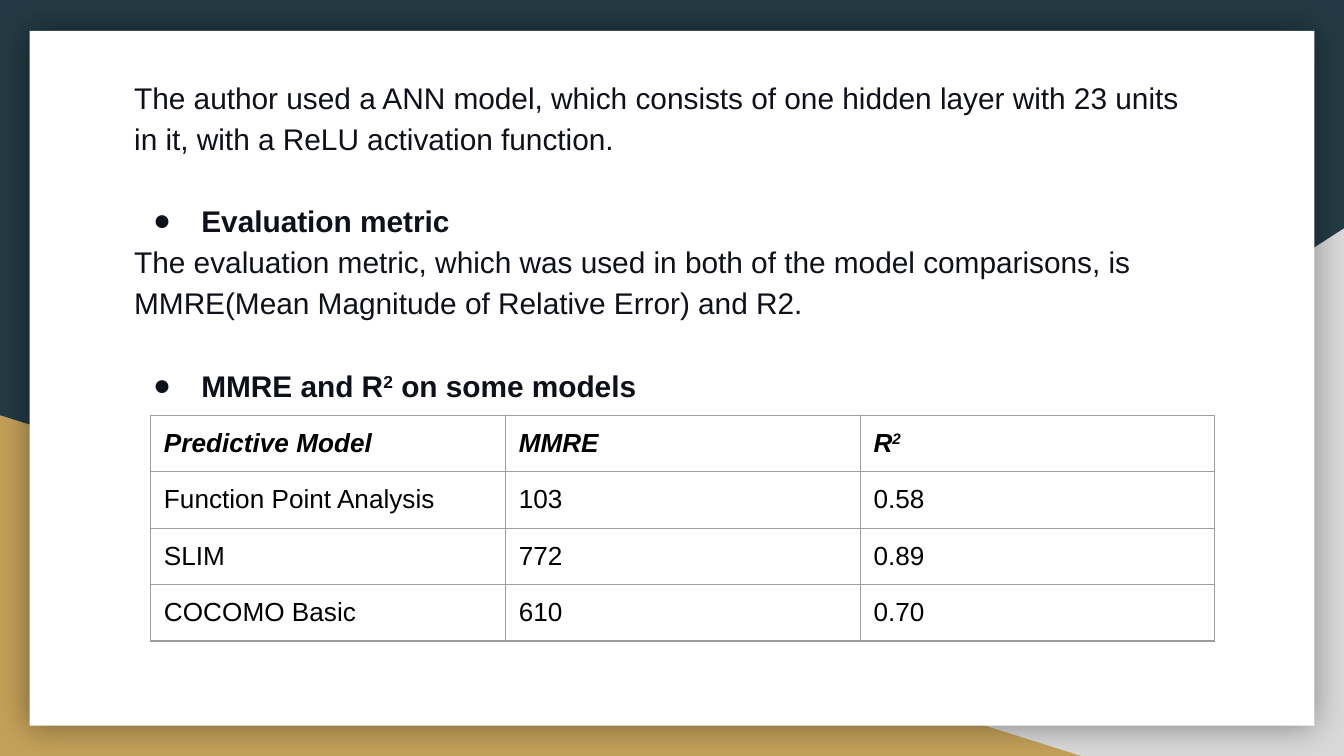
from lxml.etree import SubElement
from pptx import Presentation
from pptx.dml.color import RGBColor
from pptx.enum.shapes import MSO_SHAPE
from pptx.oxml.ns import qn
from pptx.util import Inches, Pt

COLORS = {
    "night": "233A44", "grey": "D9D9D9", "gold": "C4A15A", "white": "FFFFFF",
    "ink": "0E101A", "black": "000000", "border": "9E9E9E",
}


def add_text(para, text, size=16, color="ink", bold=False, italic=False):
    """Fill a paragraph with text; parts between ^ marks are superscript."""
    for index, part in enumerate(text.split("^")):
        if not part:
            continue
        span = para.add_run()
        span.text = part
        span.font.name = "Arial"
        span.font.size = Pt(size)
        span.font.bold = bold
        span.font.italic = italic
        span.font.color.rgb = RGBColor.from_string(COLORS[color])
        if index % 2:
            span.font._element.set("baseline", "30000")


def add_color(parent, color):
    """Append an RGB colour element and return it."""
    return SubElement(parent, qn("a:srgbClr"), val=COLORS[color])


deck = Presentation()
deck.slide_width, deck.slide_height = Inches(10), Inches(10 * 9 / 16)
page = deck.slides.add_slide(deck.slide_layouts[6])
page.background.fill.solid()
page.background.fill.fore_color.rgb = RGBColor.from_string(COLORS["night"])

# Backdrop: two corner triangles and the white card
backdrop = [
    (MSO_SHAPE.RIGHT_TRIANGLE, (3.92, 1.7, 6.08, 3.93), "grey"),
    (MSO_SHAPE.RIGHT_TRIANGLE, (0, 3.09, 8.06, 2.54), "gold"),
    (MSO_SHAPE.RECTANGLE, (0.22, 0.23, 9.56, 5.17), "white"),
]
for preset, place, color in backdrop:
    shape = page.shapes.add_shape(preset, *map(Inches, place))
    shape.shadow.inherit = False
    shape.fill.solid()
    shape.fill.fore_color.rgb = RGBColor.from_string(COLORS[color])
    shape.line.fill.background()
    if color == "grey":
        shape._element.spPr.find(qn("a:xfrm")).set("flipH", "1")
    if color == "white":
        effects = shape._element.spPr.find(qn("a:effectLst"))
        shadow = SubElement(effects, qn("a:outerShdw"), blurRad=str(Pt(18)),
                            dist="0", algn="ctr", rotWithShape="0")
        SubElement(add_color(shadow, "black"), qn("a:alpha"), val="40000")

# Body text
box = page.shapes.add_textbox(Inches(0.9), Inches(0.45), Inches(8.19), Inches(4.75))
frame = box.text_frame
frame.word_wrap = True
frame.margin_left = frame.margin_right = Inches(0.1)
frame.margin_top = frame.margin_bottom = Inches(0.1)
body = [
    ("The author used a ANN model, which consists of one hidden layer with "
     "23 units in it, with a ReLU activation function.", False),
    ("Evaluation metric", True),
    ("The evaluation metric, which was used in both of the model comparisons, "
     "is MMRE(Mean Magnitude of Relative Error) and R2.", False),
    ("MMRE and R^2^ on some models", True),
]
for index, (text, is_heading) in enumerate(body):
    para = frame.add_paragraph() if index else frame.paragraphs[0]
    para.line_spacing = 1.15
    add_text(para, text, bold=is_heading)
    if is_heading:
        para.space_before = Pt(22)
        props = para._p.get_or_add_pPr()
        props.set("marL", str(Inches(0.5)))
        props.set("indent", str(Inches(-0.36)))
        add_color(SubElement(props, qn("a:buClr")), "ink")
        SubElement(props, qn("a:buFont"), typeface="Arial")
        SubElement(props, qn("a:buChar"), char="●")

# Results table
results = [
    ("Predictive Model", "MMRE", "R^2^"),
    ("Function Point Analysis", "103", "0.58"),
    ("SLIM", "772", "0.89"),
    ("COCOMO Basic", "610", "0.70"),
]
table = page.shapes.add_table(4, 3, Inches(1.12), Inches(3.09),
                              Inches(3 * 2.64), Inches(4 * 0.42)).table
table.first_row = table.horz_banding = False
for row, values in enumerate(results):
    for column, value in enumerate(values):
        cell = table.cell(row, column)
        cell.margin_left = cell.margin_right = cell.margin_top = Inches(0.1)
        cell.margin_bottom = Inches(0.08)
        add_text(cell.text_frame.paragraphs[0], value, size=14, color="black",
                 bold=row == 0, italic=row == 0)
        props = cell._tc.get_or_add_tcPr()
        for side in ("lnL", "lnR", "lnT", "lnB"):
            border = SubElement(props, qn(f"a:{side}"), w=str(Pt(0.75)))
            add_color(SubElement(border, qn("a:solidFill")), "border")
        cell.fill.background()

deck.save("out.pptx")
